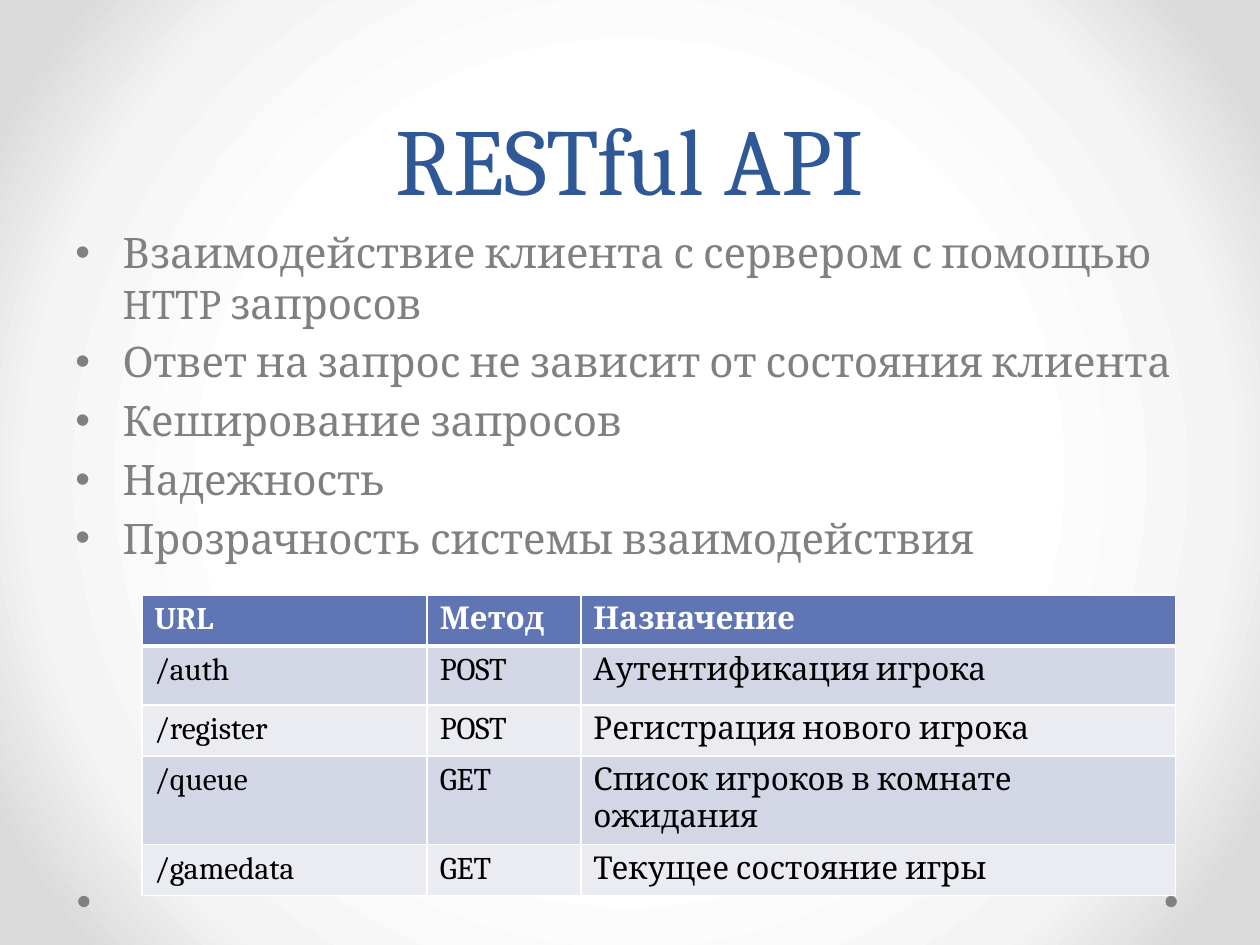
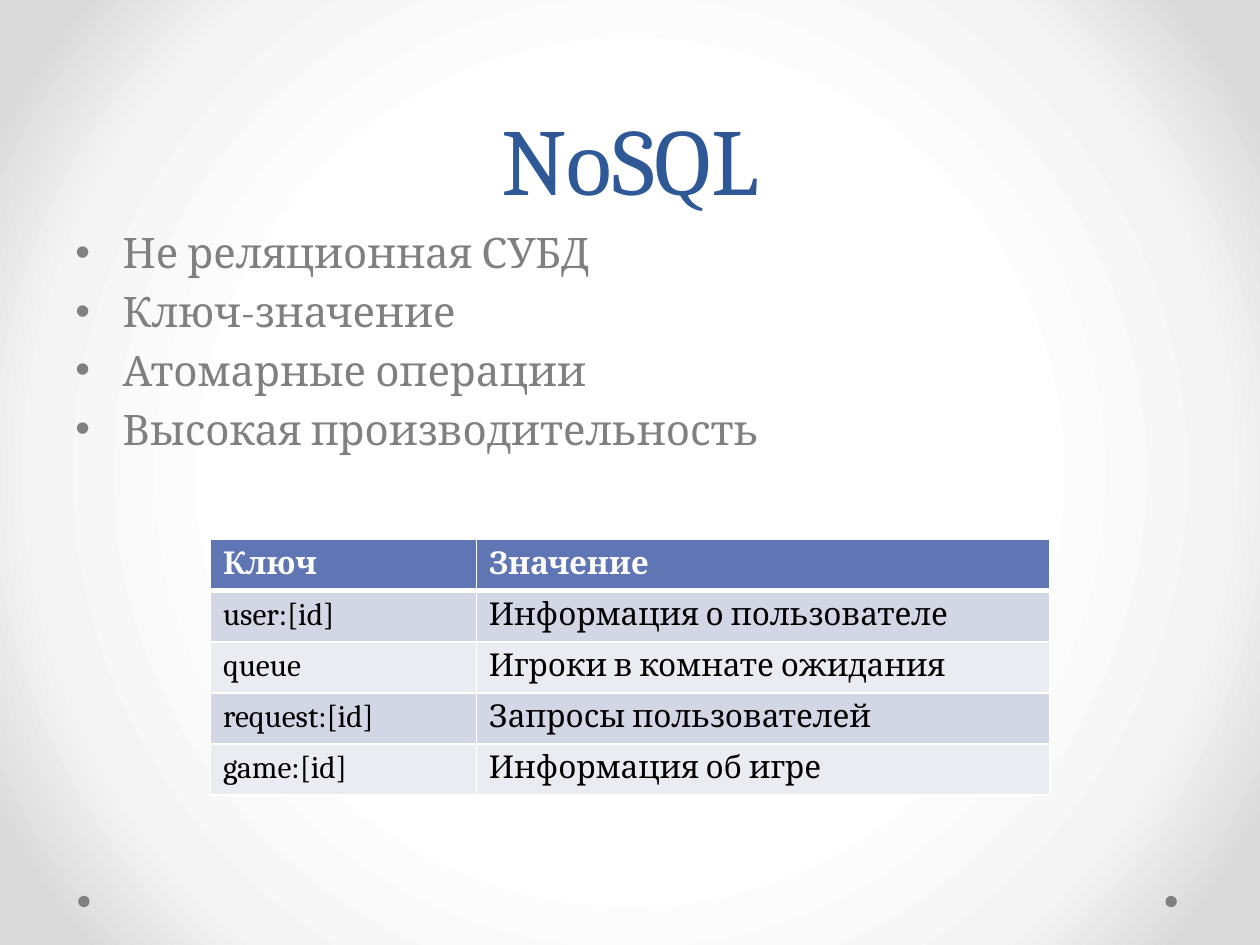
from dataclasses import dataclass

from lxml import etree
from pptx import Presentation
from pptx.dml.color import RGBColor
from pptx.enum.shapes import MSO_SHAPE
from pptx.enum.text import MSO_ANCHOR, PP_ALIGN
from pptx.oxml import parse_xml
from pptx.oxml.ns import nsdecls, qn
from pptx.util import Emu, Inches, Pt

ELLIPSE = MSO_SHAPE.OVAL
BOTTOM = MSO_ANCHOR.BOTTOM
LEFT, CENTER = PP_ALIGN.LEFT, PP_ALIGN.CENTER

WIDTH, HEIGHT = Inches(10), Inches(7.5)


@dataclass(frozen=True)
class Theme:
    font: str = "Cambria"
    title: str = "2F5897"
    gray: str = "808080"
    header: str = "6076B4"
    bands: tuple = ("D2D6E5", "EAECF2")
    white: str = "FFFFFF"
    black: str = "000000"
    glow: tuple = ((50, "FFFFFF"), (76, "F4F4F4"), (92, "DADADA"))
    title_size: int = 54
    title_leading: int = 58
    body_size: int = 24
    cell_size: int = 18


THEME = Theme()


# Lengths as percentages of the slide
def across(percent):
    return Emu(round(WIDTH * percent / 100))


def down(percent):
    return Emu(round(HEIGHT * percent / 100))


def style(p, size, color, bold=False):
    for r in p.runs:
        r.font.name = THEME.font
        r.font.size = Pt(size)
        r.font.bold = bold
        r.font.color.rgb = RGBColor.from_string(color)


# Shared background and corner dots
def set_background(master):
    stops = "".join(
        f'<a:gs pos="{pos * 1000}"><a:srgbClr val="{color}"/></a:gs>'
        for pos, color in THEME.glow)
    c_sld = master.element.find(qn("p:cSld"))
    for bg in c_sld.findall(qn("p:bg")):
        c_sld.remove(bg)
    c_sld.insert(0, parse_xml(
        f'<p:bg {nsdecls("p", "a")}><p:bgPr><a:gradFill rotWithShape="1">'
        f'<a:gsLst>{stops}</a:gsLst><a:path path="circle">'
        '<a:fillToRect l="50000" t="50000" r="50000" b="50000"/></a:path>'
        '</a:gradFill><a:effectLst/></p:bgPr></p:bg>'))


def add_dot(slide, left):
    size = across(0.9)
    sp = slide.shapes.add_shape(ELLIPSE, across(left), down(94.8), size, size)
    sp.shadow.inherit = False
    sp.fill.solid()
    sp.fill.fore_color.rgb = RGBColor.from_string(THEME.gray)
    sp.line.fill.background()


# Text
def add_text_frame(slide, top, height):
    sp = slide.shapes.add_textbox(across(5), down(top), across(90), down(height))
    sp.text_frame.word_wrap = True
    return sp.text_frame


def add_title(slide, text):
    tf = add_text_frame(slide, 0, 23.33)
    tf.vertical_anchor = BOTTOM
    p = tf.paragraphs[0]
    p.text = text
    p.alignment = CENTER
    p.line_spacing = Pt(THEME.title_leading)
    style(p, THEME.title_size, THEME.title)


def add_bullets(slide, items):
    tf = add_text_frame(slide, 23.33, 66)
    tf.text = "\n".join(items)
    indent = across(3.75)
    for p in tf.paragraphs:
        p.alignment = LEFT
        p.space_before = Pt(THEME.body_size * 0.2)
        style(p, THEME.body_size, THEME.gray)
        p_pr = p._p.get_or_add_pPr()
        p_pr.set("marL", str(indent))
        p_pr.set("indent", str(-indent))
        etree.SubElement(p_pr, qn("a:buFont"), typeface="Arial")
        etree.SubElement(p_pr, qn("a:buChar"), char="•")


# Tables
def set_borders(cell, bottom):
    tc_pr = cell._tc.get_or_add_tcPr()
    for side, points in (("L", 1), ("R", 1), ("T", 1), ("B", bottom)):
        ln = etree.SubElement(tc_pr, qn(f"a:ln{side}"), w=str(Pt(points)))
        fill = etree.SubElement(ln, qn("a:solidFill"))
        etree.SubElement(fill, qn("a:srgbClr"), val=THEME.white)


def add_table(slide, left, top, columns, heights, rows):
    table = slide.shapes.add_table(
        len(rows), len(columns), across(left), down(top),
        across(sum(columns)), down(sum(heights))).table
    for column, width in zip(table.columns, columns):
        column.width = across(width)
    for i, (row, height, texts) in enumerate(zip(table.rows, heights, rows)):
        row.height = down(height)
        is_header = i == 0
        fill = THEME.header if is_header else THEME.bands[(i - 1) % 2]
        color = THEME.white if is_header else THEME.black
        for cell, text in zip(row.cells, texts):
            set_borders(cell, 3 if is_header else 1)
            cell.fill.solid()
            cell.fill.fore_color.rgb = RGBColor.from_string(fill)
            cell.text_frame.text = text
            style(cell.text_frame.paragraphs[0], THEME.cell_size, color, is_header)


def add_slide(prs, title, bullets):
    slide = prs.slides.add_slide(prs.slide_layouts[6])
    for left in (92.5, 6.2):
        add_dot(slide, left)
    add_title(slide, title)
    add_bullets(slide, bullets)
    return slide


def main():
    prs = Presentation()
    prs.slide_width, prs.slide_height = WIDTH, HEIGHT
    set_background(prs.slide_master)
    row = 5.41

    # Web interface and its requests
    slide = add_slide(prs, "RESTful API", [
        "Взаимодействие клиента с сервером с помощью HTTP запросов",
        "Ответ на запрос не зависит от состояния клиента",
        "Кеширование запросов",
        "Надежность",
        "Прозрачность системы взаимодействия",
    ])
    add_table(slide, 11.25, 62.95, (22.65, 12.2, 47.2),
              (row, 6.25, row, row, row), [
        ("URL", "Метод", "Назначение"),
        ("/auth", "POST", "Аутентификация игрока"),
        ("/register", "POST", "Регистрация нового игрока"),
        ("/queue", "GET", "Список игроков в комнате ожидания"),
        ("/gamedata", "GET", "Текущее состояние игры"),
    ])

    # Key-value storage
    slide = add_slide(prs, "NoSQL", [
        "Не реляционная СУБД",
        "Ключ-значение",
        "Атомарные операции",
        "Высокая производительность",
    ])
    add_table(slide, 16.7, 57.1, (21.1, 45.55), (row,) * 5, [
        ("Ключ", "Значение"),
        ("user:[id]", "Информация о пользователе"),
        ("queue", "Игроки в комнате ожидания"),
        ("request:[id]", "Запросы пользователей"),
        ("game:[id]", "Информация об игре"),
    ])

    prs.save("out.pptx")


if __name__ == "__main__":
    main()
